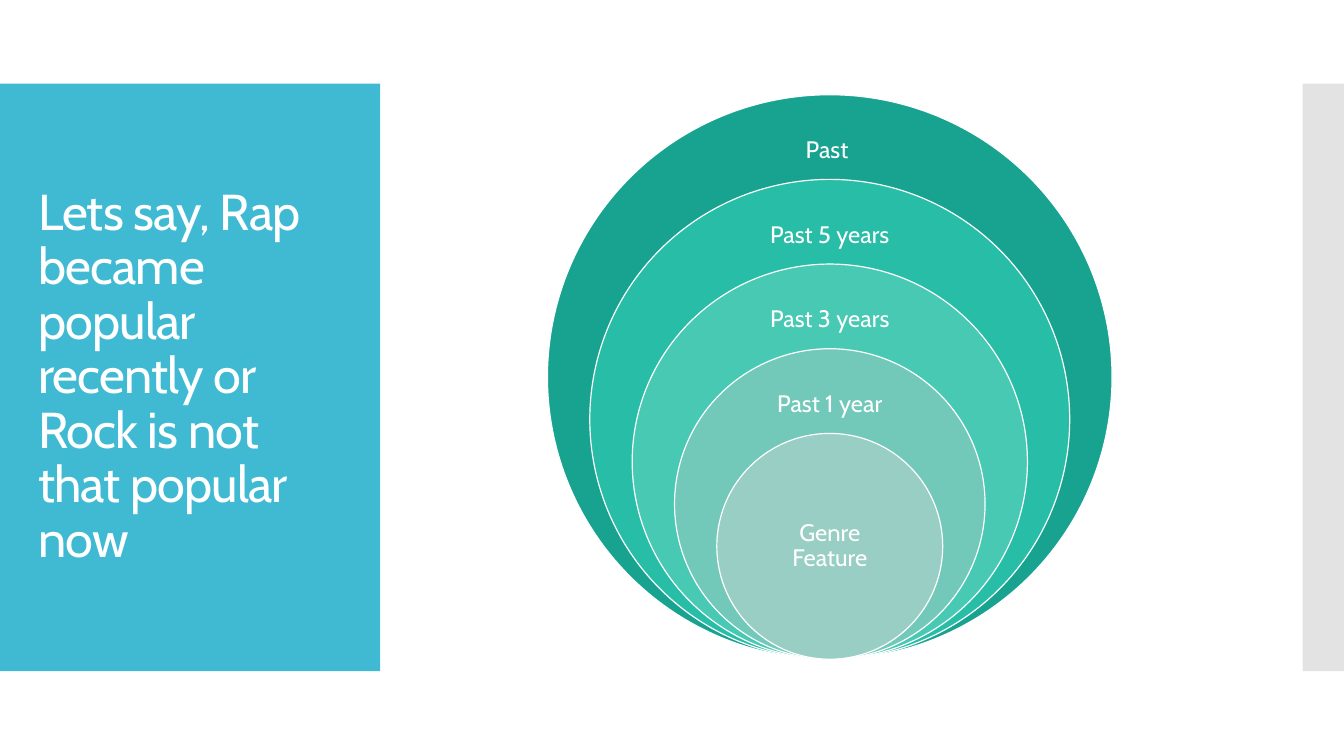
from dataclasses import dataclass

from lxml.etree import SubElement
from pptx import Presentation
from pptx.dml.color import RGBColor
from pptx.enum.shapes import MSO_SHAPE
from pptx.enum.text import MSO_ANCHOR, PP_ALIGN
from pptx.oxml.ns import qn
from pptx.util import Inches, Pt


@dataclass(frozen=True)
class Theme:
    font: str = "Cabin"
    white: str = "FFFFFF"
    panel: str = "40BAD2"
    edge: str = "C8C8C8"
    rings: tuple = ("18A290", "28BDA7", "47C9B3", "72C9B9", "98CEC3")
    title_size: int = 36
    label_size: int = 17
    ring_line: float = 0.85


theme = Theme()
prs = Presentation()
prs.slide_width, prs.slide_height = Inches(13.33), Inches(7.5)
slide = prs.slides.add_slide(prs.slide_layouts[6])


def add_filled(preset, left, top, width, height, color):
    shape = slide.shapes.add_shape(
        preset, Inches(left), Inches(top), Inches(width), Inches(height))
    shape.shadow.inherit = False
    shape.fill.solid()
    shape.fill.fore_color.rgb = RGBColor.from_string(color)
    shape.line.fill.background()
    return shape


def add_text(text, left, top, width, height, size, align, inset):
    frame = slide.shapes.add_textbox(
        Inches(left), Inches(top), Inches(width), Inches(height)).text_frame
    frame_format = {
        "word_wrap": True,
        "vertical_anchor": MSO_ANCHOR.MIDDLE,
        "margin_left": Inches(inset),
        "margin_right": Inches(inset),
    }
    for name, value in frame_format.items():
        setattr(frame, name, value)
    paragraph = frame.paragraphs[0]
    paragraph.alignment = align
    paragraph.line_spacing = 0.9
    run = paragraph.add_run()
    run.text = text
    for name, value in {"name": theme.font, "size": Pt(size)}.items():
        setattr(run.font, name, value)
    run.font.color.rgb = RGBColor.from_string(theme.white)
    return run


# Side bands
add_filled(MSO_SHAPE.RECTANGLE, 0, 0.83, 3.77, 5.83, theme.panel)
edge_band = add_filled(MSO_SHAPE.RECTANGLE, 12.92, 0.83, 0.41, 5.83, theme.edge)
edge_color = edge_band.fill._xPr.find(qn("a:solidFill"))[0]
SubElement(edge_color, qn("a:alpha"), val="50000")

# Title, with slightly tightened letters
title = add_text(
    "Lets say, Rap became popular recently or Rock is not that popular now",
    0.28, 1.23, 3.22, 5.03, theme.title_size, PP_ALIGN.LEFT, 0.1)
title._r.get_or_add_rPr().set("spc", "-60")

# Nested circles that share their lowest point
center_x, bottom = 8.23, 6.54
outer_diameter, step = 5.6, 0.84
periods = [  # label, label width, label offset from circle top, label height
    ("Past ", 2.1, 0.28, 0.55),
    ("Past 5 years", 2.05, 0.28, 0.55),
    ("Past 3 years", 2.03, 0.28, 0.55),
    ("Past 1 year", 1.66, 0.28, 0.55),
    ("Genre Feature", 1.58, 0.56, 1.12),
]
for index, (period, width, offset, height) in enumerate(periods):
    diameter = outer_diameter - index * step
    top = bottom - diameter
    ring = add_filled(MSO_SHAPE.OVAL, center_x - diameter / 2, top,
                      diameter, diameter, theme.rings[index])
    ring.line.color.rgb = RGBColor.from_string(theme.white)
    ring.line.width = Pt(theme.ring_line)
    add_text(period, center_x - width / 2, top + offset, width, height,
             theme.label_size, PP_ALIGN.CENTER, 0.13)

prs.save("out.pptx")
